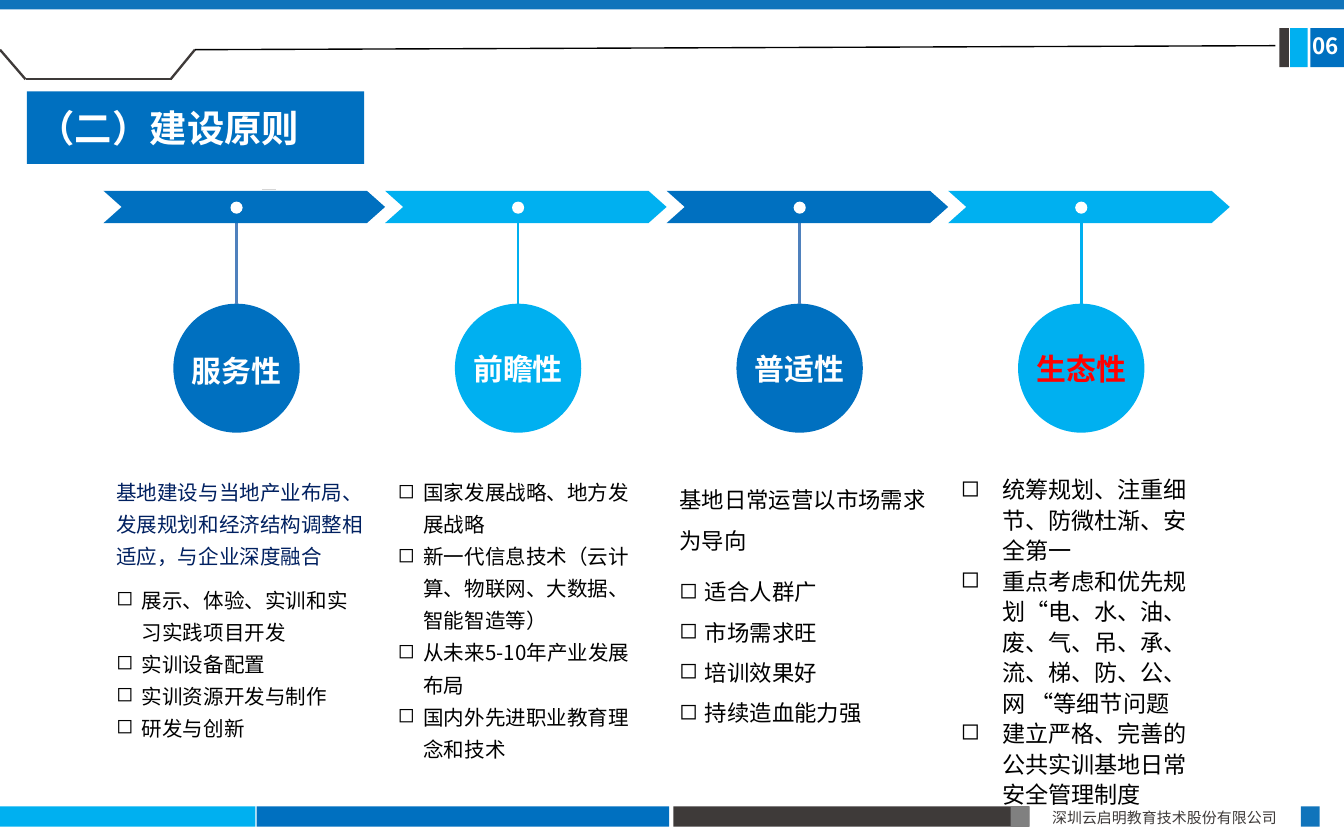
from dataclasses import dataclass

from lxml import etree
from pptx import Presentation
from pptx.dml.color import RGBColor
from pptx.enum.shapes import MSO_CONNECTOR, MSO_SHAPE
from pptx.enum.text import MSO_ANCHOR, PP_ALIGN
from pptx.oxml.ns import qn
from pptx.util import Inches, Pt

RECT, OVAL = MSO_SHAPE.RECTANGLE, MSO_SHAPE.OVAL
STRAIGHT = MSO_CONNECTOR.STRAIGHT
TOP, MIDDLE = MSO_ANCHOR.TOP, MSO_ANCHOR.MIDDLE
LEFT, CENTER, JUSTIFY = PP_ALIGN.LEFT, PP_ALIGN.CENTER, PP_ALIGN.JUSTIFY

WIDTH, HEIGHT = Inches(10), Inches(6.25)
COLUMNS, ROWS = 100, 62.5
PITCH = 20.95


@dataclass(frozen=True)
class Theme:
    font: str = "Noto Sans CJK SC"
    title_font: str = "Calibri"
    blue: str = "0070C0"
    sky: str = "00B0F0"
    band: str = "1074BB"
    steel: str = "4F81BD"
    navy: str = "002060"
    dark: str = "3E3A39"
    gray: str = "808080"
    pale: str = "D5D5D5"
    red: str = "FF0000"
    white: str = "FFFFFF"
    black: str = "000000"
    title_size: float = 20
    label_size: float = 16
    number_size: float = 12
    footer_size: float = 8


def grid(column, row):
    return round(column * WIDTH / COLUMNS), round(row * HEIGHT / ROWS)


class SlideBuilder:
    def __init__(self, slide, theme):
        self.shapes = slide.shapes
        self.theme = theme

    def paint(self, sp, color):
        sp.shadow.inherit = False
        sp.fill.solid()
        sp.fill.fore_color.rgb = RGBColor.from_string(color)
        sp.line.fill.background()
        return sp

    def shape(self, kind, left, top, width, height, color):
        sp = self.shapes.add_shape(kind, *grid(left, top), *grid(width, height))
        return self.paint(sp, color)

    def chevron(self, left, top, width, height, notch, color):
        right, middle, bottom = left + width, top + height / 2, top + height
        outline = [(right - notch, top), (right, middle), (right - notch, bottom),
                   (left, bottom), (left + notch, middle)]
        builder = self.shapes.build_freeform(*grid(left, top))
        builder.add_line_segments([grid(*point) for point in outline], close=True)
        return self.paint(builder.convert_to_shape(), color)

    def line(self, start, end, color, width, begin_shape=None):
        cn = self.shapes.add_connector(STRAIGHT, *grid(*start), *grid(*end))
        if begin_shape is not None:
            cn.begin_connect(begin_shape, 0)
        cn.line.color.rgb = RGBColor.from_string(color)
        cn.line.width = Pt(width)
        etree.SubElement(cn._element.spPr, qn("a:effectLst"))

    def frame(self, sp, anchor=TOP, margins=(0, 0, 0, 0), wrap=True):
        tf = sp.text_frame
        tf.word_wrap = wrap
        tf.vertical_anchor = anchor
        tf.margin_left, tf.margin_top = grid(*margins[:2])
        tf.margin_right, tf.margin_bottom = grid(*margins[2:])
        return tf

    def textbox(self, left, top, width, height, **options):
        sp = self.shapes.add_textbox(*grid(left, top), *grid(width, height))
        return self.frame(sp, **options)

    def add_text(self, p, text, size, color, bold=False, align=LEFT, font=None):
        p.alignment = align
        r = p.add_run()
        r.text = text
        r.font.size, r.font.bold = Pt(size), bold
        r.font.color.rgb = RGBColor.from_string(color)
        r.font.name = font or self.theme.font
        etree.SubElement(r._r.get_or_add_rPr(), qn("a:ea"), typeface=self.theme.font)

    def bullet(self, p, indent):
        pPr = p._p.get_or_add_pPr()
        hang = grid(indent, 0)[0]
        pPr.set("marL", str(hang))
        pPr.set("indent", str(-hang))
        etree.SubElement(pPr, qn("a:buChar"), char="◻")

    def body(self, left, top, width, height, principle):
        tf = self.textbox(left, top, width, height)
        lead = principle.lead
        texts = ([lead] if lead else []) + principle.points
        for i, text in enumerate(texts):
            p = tf.paragraphs[0] if i == 0 else tf.add_paragraph()
            is_lead = bool(lead) and i == 0
            if not is_lead:
                self.bullet(p, principle.indent)
            p.line_spacing = principle.spacing
            p.space_after = Pt(6 if is_lead else 0)
            color = principle.lead_color if is_lead else self.theme.black
            self.add_text(p, text, principle.size, color)


@dataclass
class Principle:
    name: str
    points: list
    size: float
    spacing: float
    fill: str
    stem: str
    lead: str = ""
    lead_color: str = Theme.black
    name_color: str = Theme.white
    indent: float = 1.9


PRINCIPLES = [
    Principle("服务性", ["展示、体验、实训和实习实践项目开发", "实训设备配置",
                      "实训资源开发与制作", "研发与创新"],
              11, 1.3, Theme.blue, Theme.steel,
              lead="基地建设与当地产业布局、发展规划和经济结构调整相适应，与企业深度融合",
              lead_color=Theme.navy),
    Principle("前瞻性", ["国家发展战略、地方发展战略",
                      "新一代信息技术（云计算、物联网、大数据、智能智造等）",
                      "从未来5-10年产业发展布局", "国内外先进职业教育理念和技术"],
              11, 1.3, Theme.sky, Theme.sky),
    Principle("普适性", ["适合人群广", "市场需求旺", "培训效果好", "持续造血能力强"],
              12, 1.5, Theme.blue, Theme.steel, lead="基地日常运营以市场需求为导向"),
    Principle("生态性", ["统筹规划、注重细节、防微杜渐、安全第一",
                      "重点考虑和优先规划“电、水、油、废、气、吊、承、流、梯、防、公、网 “等细节问题",
                      "建立严格、完善的公共实训基地日常安全管理制度"],
              12.4, 1.1, Theme.sky, Theme.sky, name_color=Theme.red, indent=3.1),
]


def draw_frame(s, t):
    """Top band, page number, header outline and footer."""
    s.shape(RECT, 0, 0, COLUMNS, 0.7, t.band)
    footer = [(0, 19, t.sky), (19.1, 30.7, t.blue), (50.1, 26.5, t.dark),
              (75.2, 1.4, t.gray), (96.8, 1.4, t.band)]
    for left, width, color in footer:
        s.shape(RECT, left, 60, width, 1.5, color)
    tf = s.textbox(77.3, 59.7, 19.4, 2.4, margins=(1, 0.5, 1, 0.5))
    s.add_text(tf.paragraphs[0], "深圳云启明教育技术股份有限公司", t.footer_size, t.dark, align=JUSTIFY)

    for left, width, color in [(95.2, 0.7, t.dark), (96, 1.3, t.sky), (97.5, 2.5, t.blue)]:
        s.shape(RECT, left, 2.1, width, 2.9, color)
    tf = s.textbox(96.7, 1.9, 3.3, 3, margins=(1, 0.5, 0, 0.5), wrap=False)
    s.add_text(tf.paragraphs[0], "06", t.number_size, t.white, bold=True)

    outline = [(0, 3.7), (1.9, 5.9), (12.7, 5.9), (14.5, 3.7)]
    for start, end in zip(outline, outline[1:]):
        s.line(start, end, t.dark, 1.25)
    s.line(outline[-1], (94.9, 3.4), t.black, 0.75)


def draw_principle(s, t, principle, offset):
    circle = s.shape(OVAL, 12.9 + offset, 22.6, 9.4, 9.6, principle.fill)
    p = s.frame(circle, MIDDLE, wrap=False).paragraphs[0]
    if offset == 0:
        p.line_spacing = Pt(22)
    s.add_text(p, principle.name, t.label_size, principle.name_color, True, CENTER)
    center = 17.6 + offset
    s.line((center, 22.6), (center, 16.6), principle.stem, 1.5, circle)
    s.chevron(7.7 + offset, 14.2, PITCH, 2.4, 1.35, principle.fill)
    s.shape(OVAL, center - 0.45, 15, 0.9, 0.9, t.white)
    s.body(8.65 + offset, 35.2, 18.5, 23.3, principle)


def main():
    prs = Presentation()
    prs.slide_width, prs.slide_height = WIDTH, HEIGHT
    t = Theme()
    s = SlideBuilder(prs.slides.add_slide(prs.slide_layouts[6]), t)
    draw_frame(s, t)
    title = s.shape(RECT, 2, 6.8, 25.1, 5.4, t.blue)
    tf = s.frame(title, MIDDLE, (0.8, 0.4, 0.8, 0.4))
    s.add_text(tf.paragraphs[0], "（二）建设原则", t.title_size, t.white, True, font=t.title_font)
    s.line((19.5, 14.1), (20.5, 14.1), t.pale, 1)
    for i, principle in enumerate(PRINCIPLES):
        draw_principle(s, t, principle, i * PITCH)
    prs.save("out.pptx")


if __name__ == "__main__":
    main()
